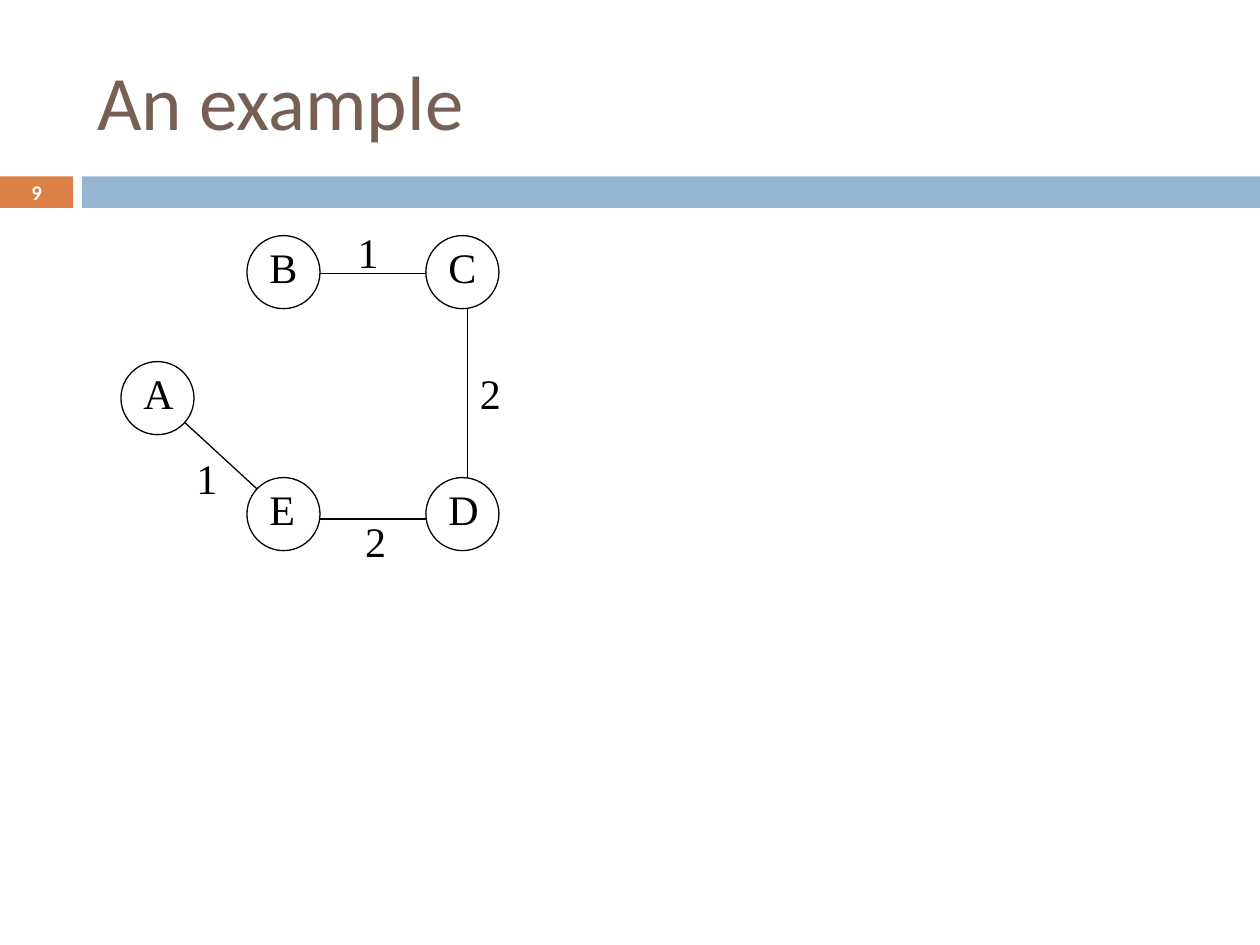
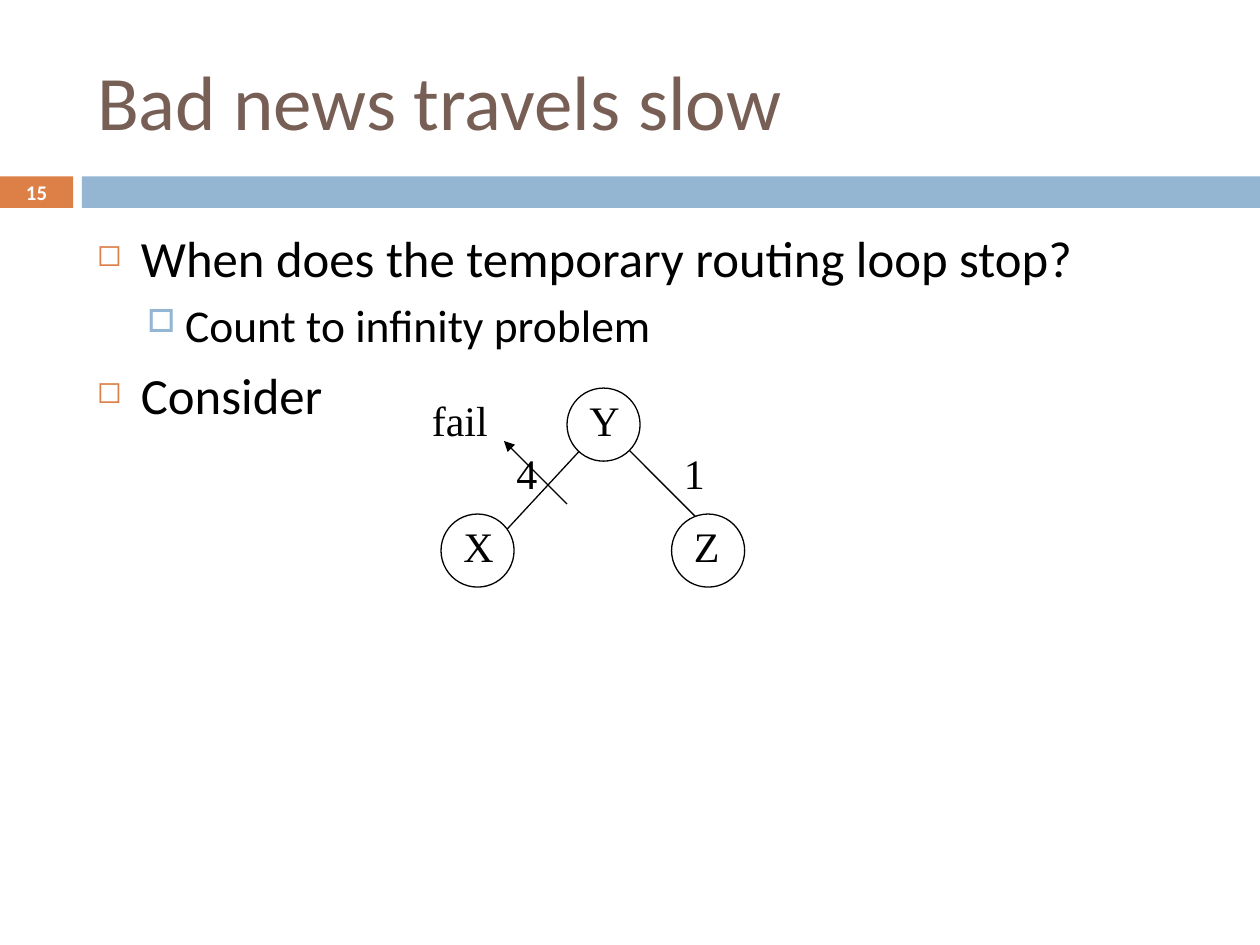
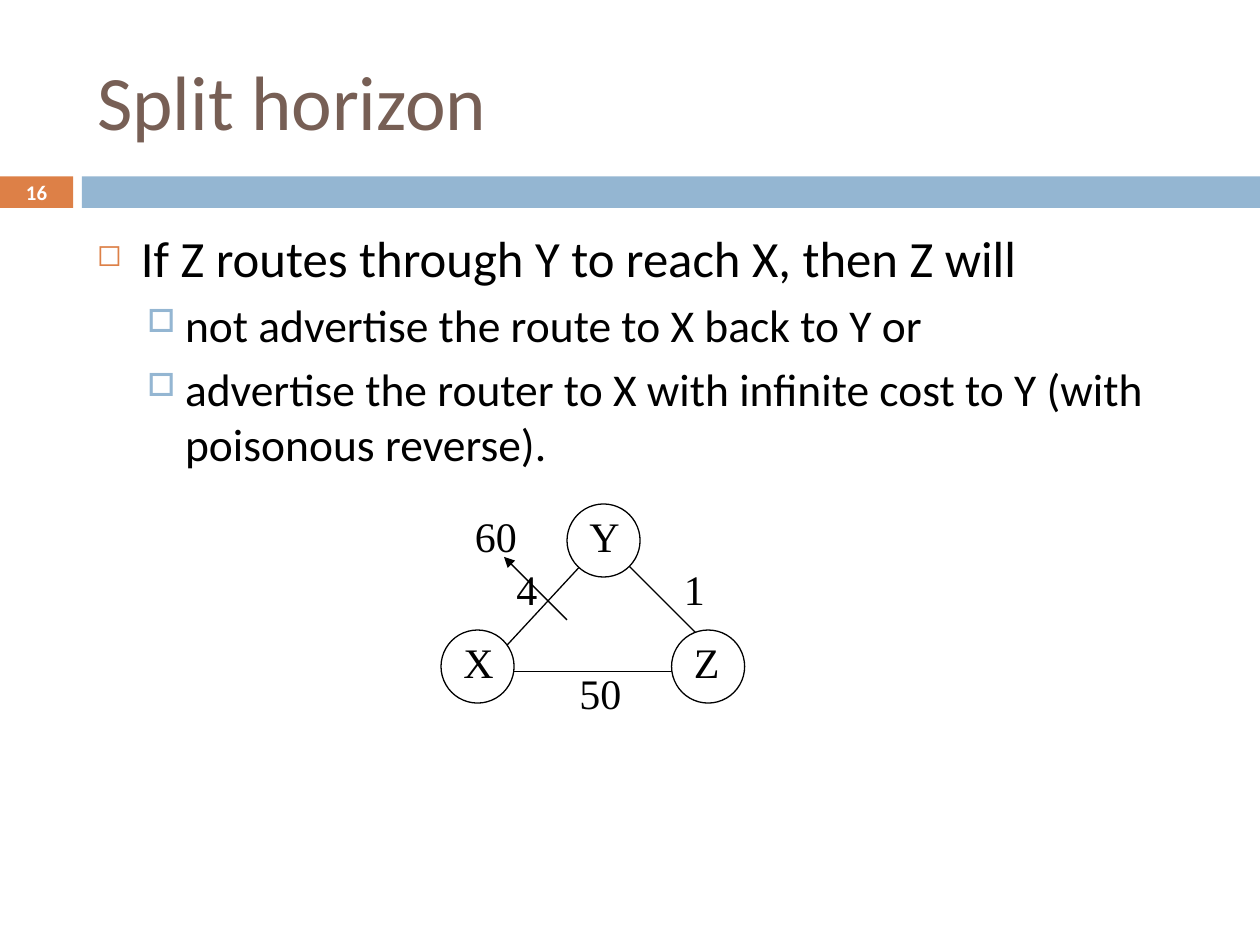
"""Build three slides on distance-vector routing with their network graphs."""
from dataclasses import dataclass

from lxml import etree
from pptx import Presentation
from pptx.dml.color import RGBColor
from pptx.enum.shapes import MSO_CONNECTOR, MSO_SHAPE
from pptx.enum.text import MSO_ANCHOR, MSO_AUTO_SIZE, PP_ALIGN
from pptx.oxml.ns import qn
from pptx.shapes.base import BaseShape
from pptx.slide import Slide
from pptx.text.text import TextFrame, _Paragraph
from pptx.util import Inches, Pt

RECTANGLE, OVAL = MSO_SHAPE.RECTANGLE, MSO_SHAPE.OVAL
STRAIGHT = MSO_CONNECTOR.STRAIGHT
LEFT, CENTER = PP_ALIGN.LEFT, PP_ALIGN.CENTER
TOP, MIDDLE = MSO_ANCHOR.TOP, MSO_ANCHOR.MIDDLE
NO_FIT = MSO_AUTO_SIZE.NONE
TITLE_ONLY = 5


@dataclass(frozen=True)
class Style:
    """Type style of a run."""
    size: float
    font: str = "Calibri"
    color: str = "000000"
    bold: bool = False


@dataclass(frozen=True)
class BulletStyle:
    """Look of one outline level."""
    text: Style
    char: str
    color: str
    percent: int
    indent: float
    hanging: float
    before: float


@dataclass(frozen=True)
class Theme:
    """Colours, type sizes and shared measures."""
    accent: str = "DD8047"
    band: str = "94B6D2"
    ink: str = "000000"
    paper: str = "FFFFFF"
    title: Style = Style(44, color="775F55")
    number: Style = Style(11.9, color="FFFFFF", bold=True)
    graph: Style = Style(24, font="Times New Roman")
    levels: tuple[BulletStyle, ...] = (
        BulletStyle(Style(29), "\u25fb", "DD8047", 60, 0.35, 0.35, 7),
        BulletStyle(Style(26), "\u25a1", "94B6D2", 70, 0.7, 0.3, 5.5),
    )
    line_width: float = 0.75
    node_size: float = 0.58
    name_shift: float = 0.08
    label_size: float = 0.5


@dataclass(frozen=True)
class Node:
    """A router, placed by its top left corner."""
    name: str
    x: float
    y: float


@dataclass(frozen=True)
class Edge:
    """A link or, with an arrowhead, a pointer to a change."""
    x1: float
    y1: float
    x2: float
    y2: float
    arrow: bool = False


@dataclass(frozen=True)
class Label:
    """A cost or remark beside a link."""
    text: str
    x: float
    y: float
    width: float = 0.5


@dataclass(frozen=True)
class Graph:
    """A network drawn downward from its top edge."""
    nodes: tuple[Node, ...]
    edges: tuple[Edge, ...]
    labels: tuple[Label, ...]
    top: float = 0


@dataclass(frozen=True)
class Page:
    """Content of one slide."""
    title: str
    number: int
    graph: Graph
    outline: tuple[tuple[int, str], ...] = ()


THEME = Theme()


def rgb(color: str) -> RGBColor:
    """Return the colour for a hex string."""
    return RGBColor.from_string(color)


def format_runs(paragraph: _Paragraph, style: Style) -> None:
    """Apply a type style to every run of a paragraph."""
    for run in paragraph.runs:
        run.font.name = style.font
        run.font.size = Pt(style.size)
        run.font.bold = style.bold
        run.font.color.rgb = rgb(style.color)


def write(frame: TextFrame, text: str, style: Style,
          align: PP_ALIGN = LEFT, anchor: MSO_ANCHOR = TOP) -> None:
    """Fill a text frame with one styled paragraph."""
    frame.text = text
    frame.word_wrap = True
    frame.auto_size = NO_FIT
    frame.vertical_anchor = anchor
    frame.paragraphs[0].alignment = align
    format_runs(frame.paragraphs[0], style)


def add_text(slide: Slide, x: float, y: float, width: float, height: float) -> TextFrame:
    """Add a text box and return its frame."""
    return slide.shapes.add_textbox(
        Inches(x), Inches(y), Inches(width), Inches(height)).text_frame


def add_filled(slide: Slide, kind: MSO_SHAPE, x: float, y: float,
               width: float, height: float, color: str) -> BaseShape:
    """Add a flat shape without an outline."""
    shape = slide.shapes.add_shape(
        kind, Inches(x), Inches(y), Inches(width), Inches(height))
    shape.shadow.inherit = False
    shape.fill.solid()
    shape.fill.fore_color.rgb = rgb(color)
    shape.line.fill.background()
    return shape


def add_edge(slide: Slide, edge: Edge, top: float) -> None:
    """Draw a link, with an arrowhead at its end if asked."""
    link = slide.shapes.add_connector(
        STRAIGHT, Inches(edge.x1), Inches(top + edge.y1),
        Inches(edge.x2), Inches(top + edge.y2))
    link.line.color.rgb = rgb(THEME.ink)
    link.line.width = Pt(THEME.line_width)
    if edge.arrow:
        etree.SubElement(link.line._get_or_add_ln(), qn("a:tailEnd"), type="triangle")
    etree.SubElement(link._element.spPr, qn("a:effectLst"))


def add_graph(slide: Slide, graph: Graph) -> None:
    """Draw links, then routers, then names and costs."""
    for edge in graph.edges:
        add_edge(slide, edge, graph.top)
    for node in graph.nodes:
        router = add_filled(slide, OVAL, node.x, graph.top + node.y,
                            THEME.node_size, THEME.node_size, THEME.paper)
        router.line.color.rgb = rgb(THEME.ink)
        router.line.width = Pt(THEME.line_width)
    names = tuple(Label(node.name, node.x + THEME.name_shift, node.y)
                  for node in graph.nodes)
    for label in names + graph.labels:
        frame = add_text(slide, label.x, graph.top + label.y,
                         label.width, THEME.label_size)
        write(frame, label.text, THEME.graph)


def set_bullet(paragraph: _Paragraph, level: BulletStyle) -> None:
    """Give a paragraph its indent and bullet."""
    properties = paragraph._p.get_or_add_pPr()
    properties.set("marL", str(Inches(level.indent)))
    properties.set("indent", str(-Inches(level.hanging)))
    color = etree.SubElement(properties, qn("a:buClr"))
    etree.SubElement(color, qn("a:srgbClr"), val=level.color)
    etree.SubElement(properties, qn("a:buSzPct"), val=str(level.percent * 1000))
    etree.SubElement(properties, qn("a:buChar"), char=level.char)


def add_outline(slide: Slide, outline: tuple[tuple[int, str], ...]) -> None:
    """Write the bulleted body text."""
    frame = add_text(slide, 0.67, 1.75, 8.92, 4.92)
    frame.word_wrap = True
    for index, (depth, text) in enumerate(outline):
        paragraph = frame.add_paragraph() if index else frame.paragraphs[0]
        level = THEME.levels[depth]
        paragraph.text = text
        paragraph.level = depth
        paragraph.space_before = Pt(level.before)
        set_bullet(paragraph, level)
        format_runs(paragraph, level.text)


def add_page(deck: Presentation, page: Page) -> None:
    """Add one slide with bands, title, number, outline and graph."""
    slide = deck.slides.add_slide(deck.slide_layouts[TITLE_ONLY])
    add_filled(slide, RECTANGLE, 0, 1.4, 0.58, 0.25, THEME.accent)
    add_filled(slide, RECTANGLE, 0.65, 1.4, 9.35, 0.25, THEME.band)
    title = slide.shapes.title
    title.left, title.top = Inches(0.67), Inches(0.25)
    title.width, title.height = Inches(8.92), Inches(1.08)
    write(title.text_frame, page.title, THEME.title, anchor=MIDDLE)
    write(add_text(slide, 0, 1.39, 0.58, 0.27), str(page.number),
          THEME.number, CENTER, MIDDLE)
    if page.outline:
        add_outline(slide, page.outline)
    add_graph(slide, page.graph)


def triangle(top: float, change: Label, extra_edges: tuple[Edge, ...] = (),
             extra_labels: tuple[Label, ...] = ()) -> Graph:
    """Return the X, Y, Z network whose X-Y link changes."""
    return Graph(
        nodes=(Node("X", 3.5, 1), Node("Y", 4.5, 0), Node("Z", 5.33, 1)),
        edges=extra_edges + (
            Edge(3.83, 1.33, 4.83, 0.25),
            Edge(4.83, 0.33, 5.67, 1.17),
            Edge(4.5, 0.92, 4, 0.42, arrow=True),
        ),
        labels=(Label("4", 4, 0.42), Label("1", 5.33, 0.42), change) + extra_labels,
        top=top,
    )


SPANNING_TREE = Graph(
    nodes=(Node("A", 0.96, 2.87), Node("B", 1.96, 1.87), Node("E", 1.96, 3.79),
           Node("C", 3.38, 1.87), Node("D", 3.38, 3.79)),
    edges=(Edge(2.32, 2.17, 3.74, 2.17), Edge(1.3, 3.2, 2.3, 4.12),
           Edge(3.71, 2.12, 3.71, 4.12), Edge(2.3, 4.12, 3.71, 4.12)),
    labels=(Label("1", 2.74, 1.75), Label("1", 1.46, 3.54),
            Label("2", 2.8, 4.04), Label("2", 3.71, 2.87)),
)

PAGES = (
    Page("An example", 9, SPANNING_TREE),
    Page("Bad news travels slow", 15,
         triangle(3.08, Label("fail", 3.33, 0, 0.83)),
         ((0, "When does the temporary routing loop stop?"),
          (1, "Count to infinity problem"),
          (0, "Consider"))),
    Page("Split horizon", 16,
         triangle(4, Label("60", 3.67, 0, 0.58),
                  (Edge(3.83, 1.33, 5.42, 1.33),),
                  (Label("50", 4.5, 1.25, 0.58),)),
         ((0, "If Z routes through Y to reach X, then Z will"),
          (1, "not advertise the route to X back to Y or"),
          (1, "advertise the router to X with infinite cost to Y "
              "(with poisonous reverse)."))),
)


def main() -> None:
    """Build and save the deck."""
    deck = Presentation()
    deck.slide_width, deck.slide_height = Inches(10), Inches(7.5)
    for page in PAGES:
        add_page(deck, page)
    deck.save("out.pptx")


main()
